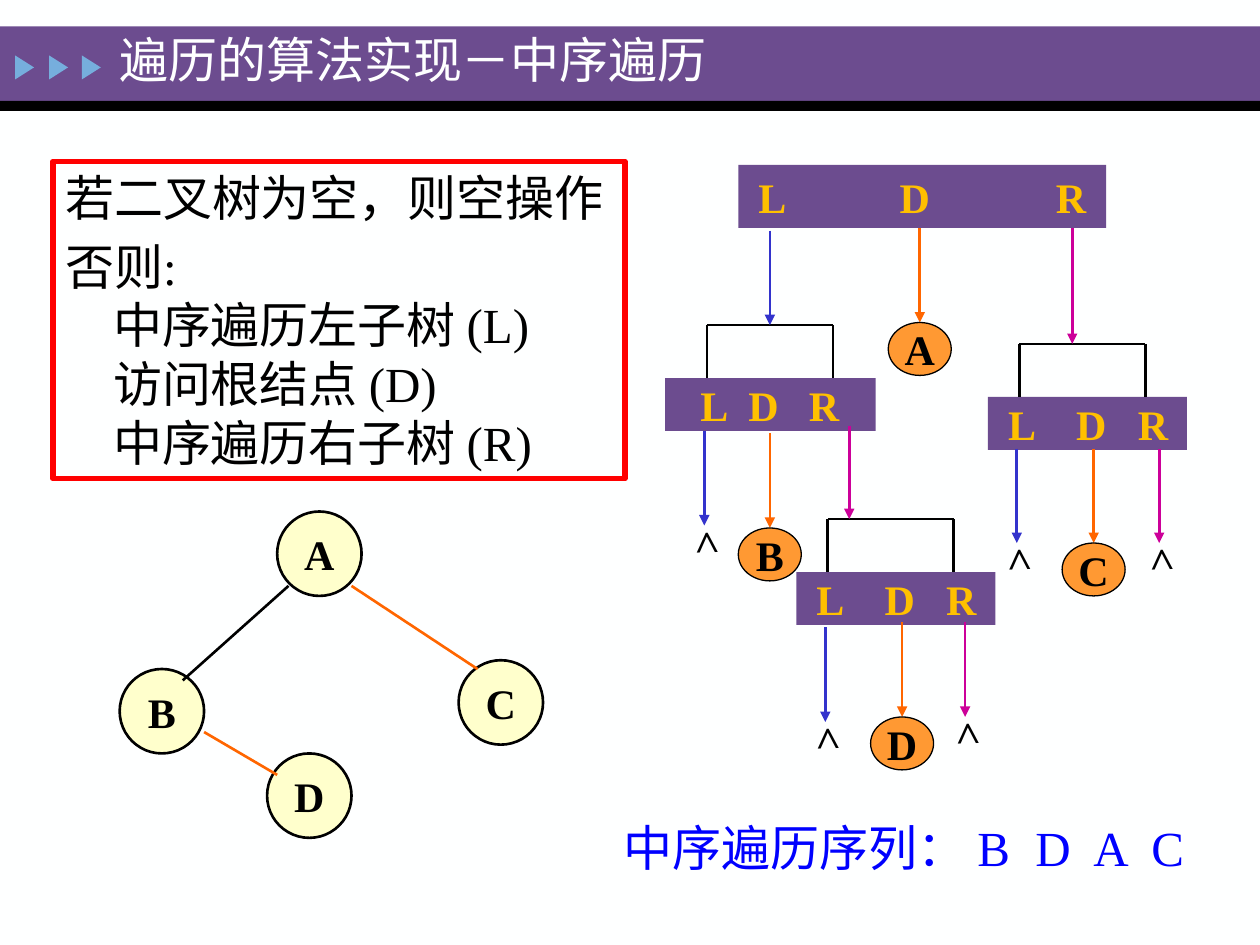
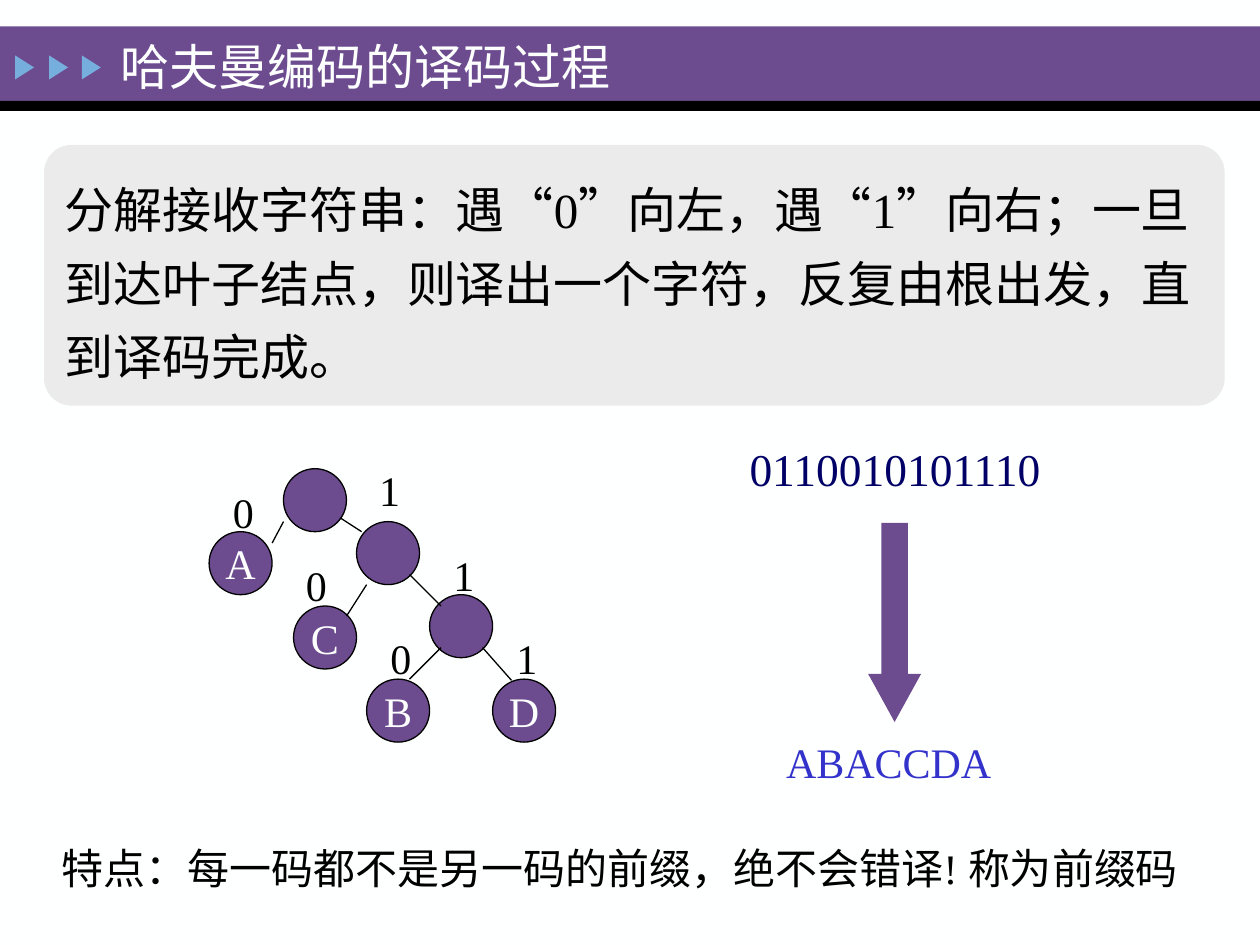
from lxml import etree
from pptx import Presentation
from pptx.dml.color import RGBColor
from pptx.enum.shapes import MSO_CONNECTOR, MSO_SHAPE as SH
from pptx.enum.text import MSO_ANCHOR as ANC, PP_ALIGN as AL
from pptx.oxml.ns import qn
from pptx.util import Inches, Pt

FONT = "Times New Roman"
C = {"bg": "FEFFFF", "purple": "6C4C8F", "black": "000000", "sky": "76AEDD",
     "red": "FF0000", "cream": "FFFFCC", "orange": "FF9933", "gold": "FFC000",
     "L": "3333CC", "D": "FF6600", "R": "CC0099", "blue": "0000FF",
     "navy": "000066", "grey": "EBEBEB"}


def add_box(s, kind, at, fill=None, line=None, lw=0.75, text="", size=24, color="black",
            bold=False, align=AL.LEFT, anchor=ANC.MIDDLE, wrap=True, tabs=()):
    """Add a preset shape, or a text box if kind is None; tabs are in inches."""
    at = [Inches(v) for v in at]
    if kind is None:
        sp = s.shapes.add_textbox(*at)
    else:
        sp = s.shapes.add_shape(kind, *at)
        sp.shadow.inherit = False
        for f, c in ((sp.fill, fill), (sp.line.fill, line)):
            if c:
                f.solid()
                f.fore_color.rgb = RGBColor.from_string(C[c])
            else:
                f.background()
        if line:
            sp.line.width = Pt(lw)
    tf = sp.text_frame
    tf.word_wrap, tf.vertical_anchor = wrap, anchor
    if not text:
        return sp
    for i, para in enumerate(text.split("\n")):
        p = tf.paragraphs[0] if i == 0 else tf.add_paragraph()
        p.alignment = align
        for j, row in enumerate(para.split("\v")):
            if j:
                p.add_line_break()
            r = p.add_run()
            r.text = row
            r.font.name, r.font.size, r.font.bold = FONT, Pt(size), bold
            r.font.color.rgb = RGBColor.from_string(C[color])
        if tabs:
            stops = etree.SubElement(p._p.get_or_add_pPr(), qn("a:tabLst"))
            for t in tabs:
                etree.SubElement(stops, qn("a:tab"), pos=str(Inches(t)), algn="l")
    return sp


def add_line(s, x1, y1, x2, y2, color="black", lw=1.5, arrow=False):
    cn = s.shapes.add_connector(MSO_CONNECTOR.STRAIGHT, *[Inches(v) for v in (x1, y1, x2, y2)])
    cn.line.color.rgb = RGBColor.from_string(C[color])
    cn.line.width = Pt(lw)
    if arrow:
        etree.SubElement(cn.line._get_or_add_ln(), qn("a:tailEnd"), type="triangle")
    etree.SubElement(cn._element.spPr, qn("a:effectLst"))


prs = Presentation()
prs.slide_width, prs.slide_height = Inches(10), Inches(7.5)

# Shared band, markers and title
slides = []
for title, at in (("遍历的算法实现－中序遍历", (0.85, 0.19, 6.44, 0.56)),
                  ("哈夫曼编码的译码过程", (0.86, 0.24, 5, 0.56))):
    s = prs.slides.add_slide(prs.slide_layouts[6])
    s.background.fill.solid()
    s.background.fill.fore_color.rgb = RGBColor.from_string(C["bg"])
    add_box(s, SH.RECTANGLE, (0, 0.21, 10, 0.59), "purple")
    add_box(s, SH.RECTANGLE, (0, 0.8, 10, 0.08), "black")
    for x in (0.1, 0.37, 0.63):
        add_box(s, SH.ISOSCELES_TRIANGLE, (x, 0.46, 0.19, 0.15), "sky").rotation = 90
    add_box(s, None, at, text=title, size=28, color="bg")
    slides.append(s)

# Slide 1: algorithm
s = slides[0]
sp = add_box(s, SH.RECTANGLE, (0.42, 1.28, 4.54, 2.52), line="red", lw=3, size=28, anchor=ANC.TOP,
             text="若二叉树为空，则空操作\n否则:\v中序遍历左子树 (L)\v访问根结点 (D)\v中序遍历右子树 (R)")
for p in sp.text_frame.paragraphs:
    p.space_before = Pt(5.6)
    pPr = p._p.get_or_add_pPr()
    pPr.set("marL", str(Inches(0.38)))
    pPr.set("indent", str(Inches(-0.38)))

# Slide 1: binary tree
for name, x, y in (("A", 2.2, 4.06), ("D", 2.12, 5.98), ("B", 0.95, 5.31), ("C", 3.64, 5.24)):
    add_box(s, SH.OVAL, (x, y, 0.67, 0.67), "cream", "black", 1.5, name,
            bold=True, align=AL.CENTER, wrap=False)
add_line(s, 2.29, 4.65, 1.45, 5.4)
add_line(s, 2.79, 4.65, 3.79, 5.31, "D")
add_line(s, 1.62, 5.81, 2.2, 6.15, "D")

# Slide 1: one L-D-R bar per call: place, inset of L, tab stops of D and R
for at, inset, tabs in (((5.86, 1.31, 2.92, 0.5), 0.16, (1.12, 2.36)),
                        ((5.28, 3, 1.67, 0.42), 0.28, (0.38, 0.86)),
                        ((6.32, 4.54, 1.58, 0.42), 0.16, (0.54, 1.03)),
                        ((7.84, 3.15, 1.58, 0.42), 0.16, (0.54, 1.03))):
    sp = add_box(s, SH.RECTANGLE, at, "purple", text="L\tD\tR", color="gold", bold=True, tabs=tabs)
    sp.text_frame.margin_left, sp.text_frame.margin_right = Inches(inset), 0

# Slide 1: brackets over the inner calls
for x, y in ((5.61, 2.58), (6.57, 4.12), (8.09, 2.73)):
    add_line(s, x, y, x + 1, y)
    for side in (x, x + 1):
        add_line(s, side, y, side, y + 0.42)

# Slide 1: steps, each ending in a call (""), a visited node or an empty subtree (">")
for step, x, y1, y2, end in (
        ("L", 6.11, 1.83, 2.58, ""), ("D", 7.3, 1.81, 2.56, "A"), ("R", 8.51, 1.81, 2.73, ""),
        ("L", 5.59, 3.42, 4.17, ">"), ("D", 6.11, 3.44, 4.19, "B"), ("R", 6.74, 3.38, 4.12, ""),
        ("L", 6.55, 4.98, 5.73, ">"), ("D", 7.16, 4.94, 5.69, "D"), ("R", 7.66, 4.94, 5.69, ">"),
        ("L", 8.07, 3.56, 4.31, ">"), ("D", 8.68, 3.56, 4.31, "C"), ("R", 9.2, 3.56, 4.31, ">")):
    add_line(s, x, y1, x, y2, step, arrow=True)
    if end == ">":
        sp = add_box(s, None, (x - 0.21, y2 - 0.13, 0.42, 0.5), text=end, bold=True, anchor=ANC.TOP)
        sp.rotation = 268.3
    elif end:
        add_box(s, SH.OVAL, (x - 0.25, y2, 0.5, 0.42), "orange", "black", text=end,
                bold=True, align=AL.CENTER, wrap=False)

# Slide 1: result
add_box(s, None, (4.85, 6.44, 4.9, 0.57), text="中序遍历序列：\tB\tD\tA\tC", size=28, color="blue",
        anchor=ANC.TOP, tabs=[2.81 + 0.46 * i for i in range(4)])

# Slide 2: decoding rule
s = slides[1]
sp = add_box(s, SH.ROUNDED_RECTANGLE, (0.35, 1.15, 9.37, 2.07), "grey", size=28,
             text="分解接收字符串：遇“0”向左，遇“1”向右；一旦到达叶子结点，"
                  "则译出一个字符，反复由根出发，直到译码完成。")
sp.adjustments[0] = 0.106
sp.text_frame.paragraphs[0].line_spacing = 1.25
sp.text_frame.paragraphs[0].space_before = Pt(5.6)

# Slide 2: code and decoded text
sp = add_box(s, SH.DOWN_ARROW, (6.89, 4.15, 0.42, 1.58), "purple")
sp.adjustments[0], sp.adjustments[1] = 0.5, 0.908
add_box(s, None, (5.85, 3.45, 2.75, 0.53), text="0110010101110", size=26, color="navy", anchor=ANC.TOP)
add_box(s, None, (6.14, 5.8, 2.17, 0.5), text="ABACCDA", color="L", anchor=ANC.TOP)

# Slide 2: Huffman tree
for name, x, y in (("", 2.25, 3.72), ("", 2.83, 4.14), ("", 3.41, 4.72), ("A", 1.66, 4.22),
                   ("C", 2.33, 4.81), ("B", 2.91, 5.39), ("D", 3.91, 5.39)):
    add_box(s, SH.OVAL, (x, y, 0.5, 0.5), "purple", "black", text=name, color="bg",
            align=AL.CENTER, wrap=False)
for edge in ((2.25, 4.14, 2.16, 4.31), (2.7, 4.11, 2.87, 4.22), (2.91, 4.64, 2.75, 4.89),
             (3.5, 5.14, 3.25, 5.39), (3.83, 5.14, 4.06, 5.4), (3.25, 4.56, 3.5, 4.81)):
    add_line(s, *edge, lw=0.75)
for bit, x, y in (("0", 1.75, 3.81), ("0", 2.33, 4.39), ("0", 3, 4.97),
                  ("1", 2.91, 3.64), ("1", 3.5, 4.31), ("1", 4, 4.97)):
    add_box(s, None, (x, y, 0.58, 0.5), text=bit, anchor=ANC.TOP)

# Slide 2: prefix property
add_box(s, None, (0.39, 6.64, 9.3, 0.5), anchor=ANC.TOP, wrap=False,
        text="特点：每一码都不是另一码的前缀，绝不会错译! 称为前缀码")

prs.save("out.pptx")
